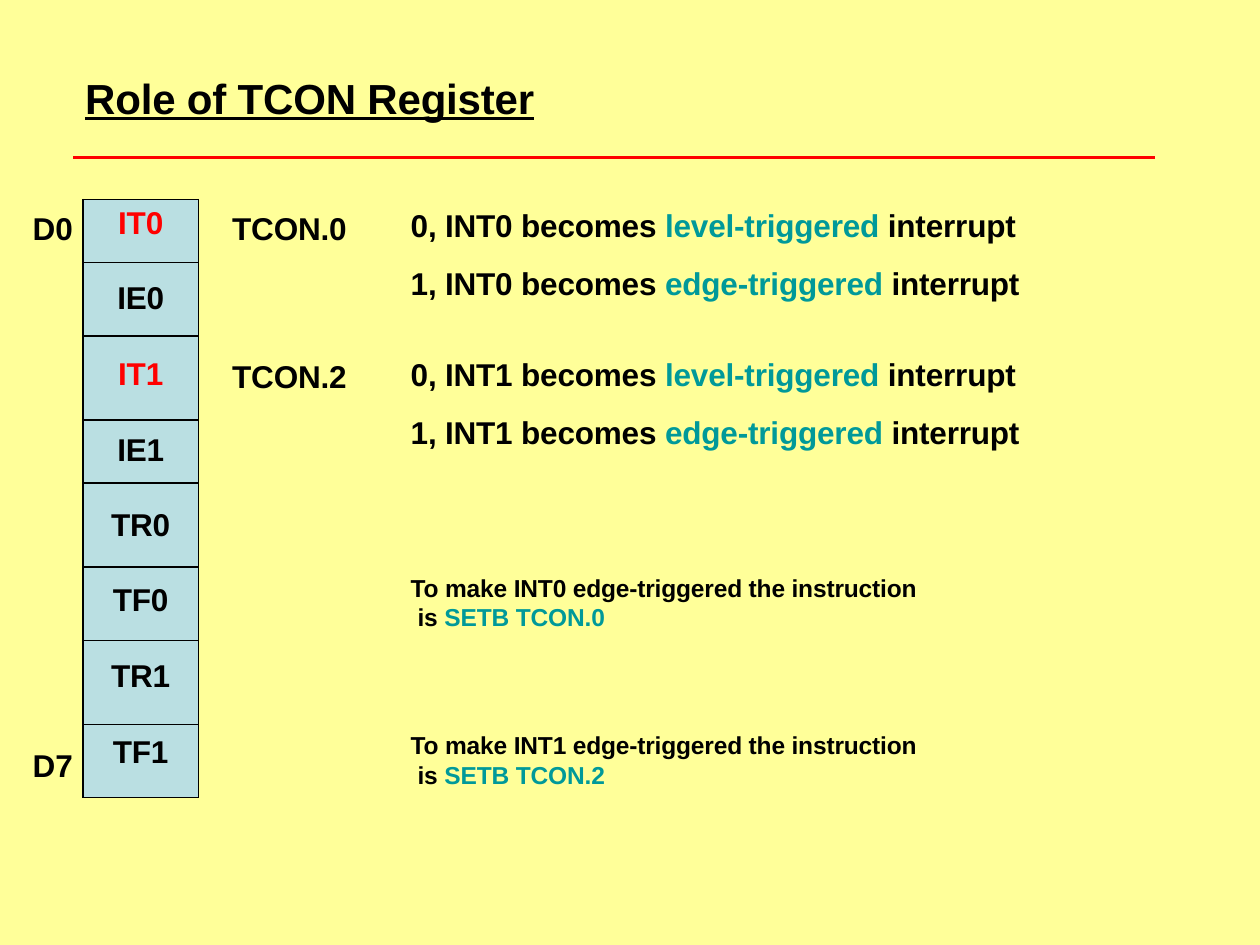
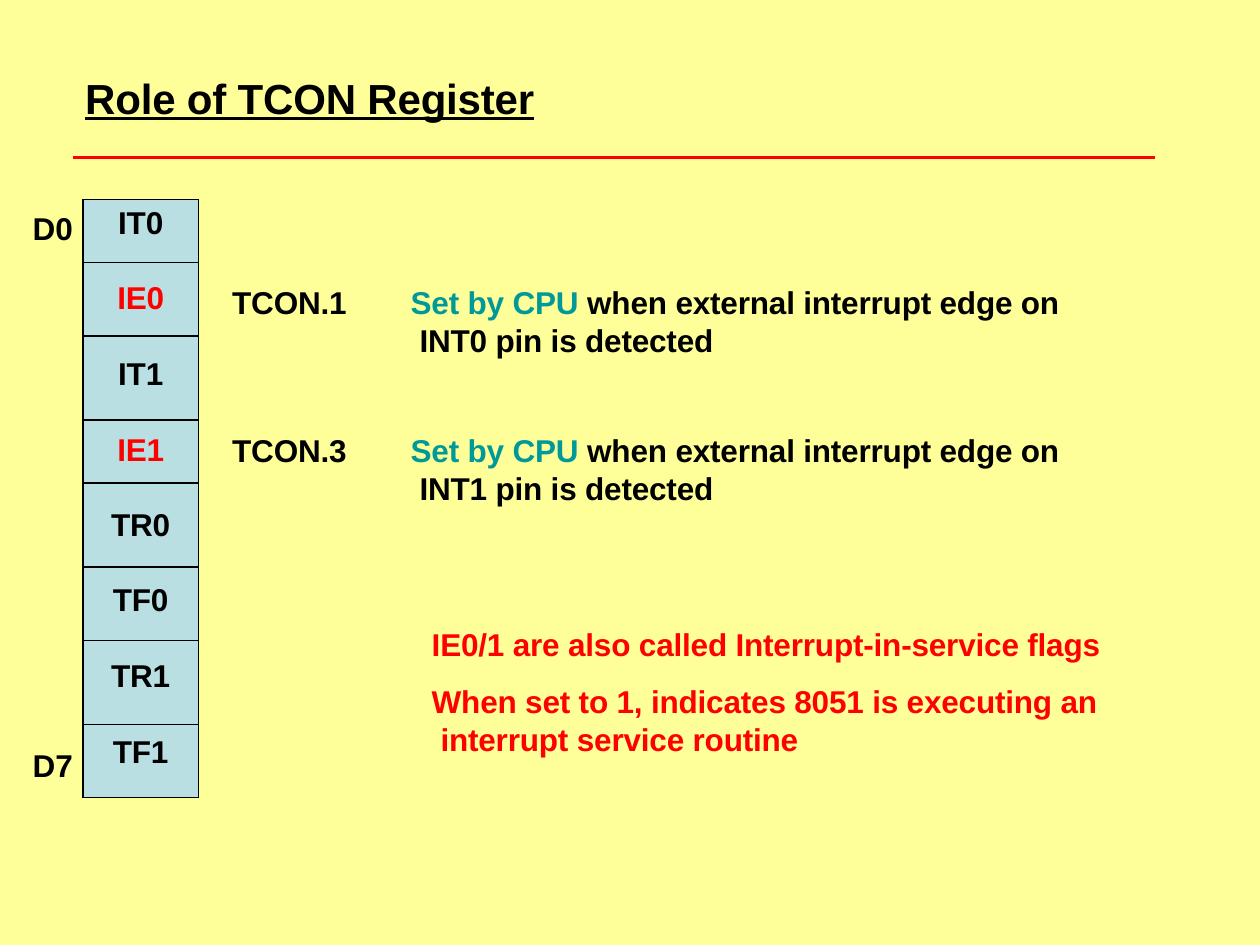
"""Build two slides on the role of the TCON register bits."""
from lxml import etree
from pptx import Presentation
from pptx.dml.color import RGBColor
from pptx.enum.shapes import MSO_CONNECTOR
from pptx.enum.text import MSO_ANCHOR, MSO_AUTO_SIZE, PP_ALIGN
from pptx.oxml.ns import qn
from pptx.util import Inches, Pt

STRAIGHT = MSO_CONNECTOR.STRAIGHT
TOP = MSO_ANCHOR.TOP
NO_AUTOFIT = MSO_AUTO_SIZE.NONE
LEFT, CENTER = PP_ALIGN.LEFT, PP_ALIGN.CENTER

PAPER = RGBColor(0xFF, 0xFF, 0x99)
CELL = RGBColor(0xBA, 0xDF, 0xE2)
INK = RGBColor(0x00, 0x00, 0x00)
RED = RGBColor(0xFF, 0x00, 0x00)
TEAL = RGBColor(0x00, 0x99, 0x99)

COLUMNS, ROWS = 120, 90
TITLE_ONLY = 5
FONT = "Arial"
TRACKING = "-10"
BITS = [("IT0", 6, 0.05), ("IE0", 7, 0.15), ("IT1", 8, 0.17), ("IE1", 6, 0.1),
        ("TR0", 8, 0.2), ("TF0", 7, 0.13), ("TR1", 8, 0.15), ("TF1", 7, 0.08)]
LABEL_COLUMN, NOTE_COLUMN = 22, 39


class Deck:
    def __init__(self):
        self.prs = Presentation()
        self.prs.slide_width, self.prs.slide_height = Inches(10), Inches(7.5)
        background = self.prs.slide_master.background.fill
        background.solid()
        background.fore_color.rgb = PAPER
        self.slide = None

    def x(self, columns):
        return round(self.prs.slide_width * columns / COLUMNS)

    def y(self, rows):
        return round(self.prs.slide_height * rows / ROWS)

    def box(self, column, row, width, height):
        return self.x(column), self.y(row), self.x(width), self.y(height)

    def fill_paragraph(self, paragraph, runs, size=18, align=LEFT):
        font = paragraph.font
        font.name, font.size, font.bold = FONT, Pt(size), True
        font.color.rgb = runs[0][1]
        paragraph.alignment = align
        for words, color in runs:
            run = paragraph.add_run()
            run.text = words
            run._r.get_or_add_rPr().set("spc", TRACKING)
            if color != runs[0][1]:
                run.font.color.rgb = color

    def frame(self, shape, top=0.03):
        frame = shape.text_frame
        frame.word_wrap, frame.auto_size = True, NO_AUTOFIT
        frame.vertical_anchor = TOP
        frame.margin_left, frame.margin_top = Inches(0.01), Inches(top)
        frame.margin_right = frame.margin_bottom = 0
        return frame

    def start(self, heading):
        self.slide = self.prs.slides.add_slide(
            self.prs.slide_layouts[TITLE_ONLY])
        title = self.slide.shapes.title
        title.left, title.top, title.width, title.height = self.box(
            8, 6.5, 44, 5.2)
        paragraph = self.frame(title).paragraphs[0]
        self.fill_paragraph(paragraph, [(heading, INK)], 24)
        paragraph.font.underline = True
        self.rule()

    def rule(self):
        rule = self.slide.shapes.add_connector(
            STRAIGHT, self.x(7), self.y(15), self.x(110), self.y(15))
        rule.line.color.rgb, rule.line.width = RED, Pt(2.25)
        etree.SubElement(rule._element.spPr, qn("a:effectLst"))

    def text(self, place, paragraphs, size=18, top=0.03, gap=0, spacing=None,
             hang=False):
        frame = self.frame(
            self.slide.shapes.add_textbox(*self.box(*place)), top)
        for index, runs in enumerate(paragraphs):
            paragraph = frame.add_paragraph() if index else frame.paragraphs[0]
            self.fill_paragraph(paragraph, runs, size)
            if index and gap:
                paragraph.space_before = Pt(gap)
            if spacing:
                paragraph.line_spacing = spacing
            if hang:
                indent = Pt(size * 0.28)
                properties = paragraph._p.get_or_add_pPr()
                properties.set("marL", str(indent))
                properties.set("indent", str(-indent))

    def label(self, column, row, words, width=11.3):
        self.text((column, row, width, 4), [[(words, INK)]])

    def border(self, cell):
        properties = cell._tc.get_or_add_tcPr()
        for position, side in enumerate(("lnL", "lnR", "lnT", "lnB")):
            edge = etree.Element(qn(f"a:{side}"), w=str(Pt(0.75)))
            fill = etree.SubElement(edge, qn("a:solidFill"))
            etree.SubElement(fill, qn("a:srgbClr"), val=str(INK))
            properties.insert(position, edge)

    def register(self, highlighted):
        height = sum(rows for _, rows, _ in BITS)
        table = self.slide.shapes.add_table(
            len(BITS), 1, *self.box(7.9, 19, 11, height)).table
        table.first_row = table.horz_banding = False
        for index, (bit, rows, inset) in enumerate(BITS):
            table.rows[index].height = self.y(rows)
            cell = table.cell(index, 0)
            cell.fill.solid()
            cell.fill.fore_color.rgb = CELL
            cell.margin_left = cell.margin_right = cell.margin_bottom = 0
            cell.margin_top, cell.vertical_anchor = Inches(inset), TOP
            color = RED if bit in highlighted else INK
            self.fill_paragraph(cell.text_frame.paragraphs[0],
                                [(bit, color)], align=CENTER)
            self.border(cell)
        self.label(3, 19.5, "D0", 4.2)
        self.label(3, 70.7, "D7", 4.2)

    def trigger_modes(self, row, pin):
        self.text((NOTE_COLUMN, row, 59, 11.3),
                  [[(f"{value}, {pin} becomes ", INK),
                    (f"{mode}-triggered ", TEAL), ("interrupt", INK)]
                   for value, mode in enumerate(("level", "edge"))],
                  spacing=1.52)

    def instruction(self, row, pin, bit):
        self.text((NOTE_COLUMN, row, 49.4, 5.9),
                  [[(f"To make {pin} edge-triggered the instruction is ", INK),
                    (f"SETB {bit}", TEAL)]], size=14, hang=True)

    def edge_flag(self, row, pin):
        self.text((NOTE_COLUMN, row, 62.9, 7.6),
                  [[("Set by CPU ", TEAL),
                    ("when external interrupt edge on "
                     f"{pin} pin is detected", INK)]], hang=True)


deck = Deck()

deck.start("Role of TCON Register")
deck.register({"IT0", "IT1"})
for pin, bit, label_row, modes_row, instruction_row in (
        ("INT0", "TCON.0", 19.5, 17.4, 54.2),
        ("INT1", "TCON.2", 33.6, 31.6, 69.2)):
    deck.label(LABEL_COLUMN, label_row, bit)
    deck.trigger_modes(modes_row, pin)
    deck.instruction(instruction_row, pin, bit)

deck.start("Role of TCON Register")
deck.register({"IE0", "IE1"})
for pin, bit, row in (("INT0", "TCON.1", 26.6), ("INT1", "TCON.3", 40.7)):
    deck.label(LABEL_COLUMN, row, bit)
    deck.edge_flag(row, pin)
deck.text((41, 57.1, 64.7, 14.9),
          [[("IE0/1 are also called Interrupt-in-service flags", RED)],
           [("When set to 1, indicates 8051 is executing an "
             "interrupt service routine", RED)]],
          top=0.2, gap=11.2, hang=True)

deck.prs.save("out.pptx")
